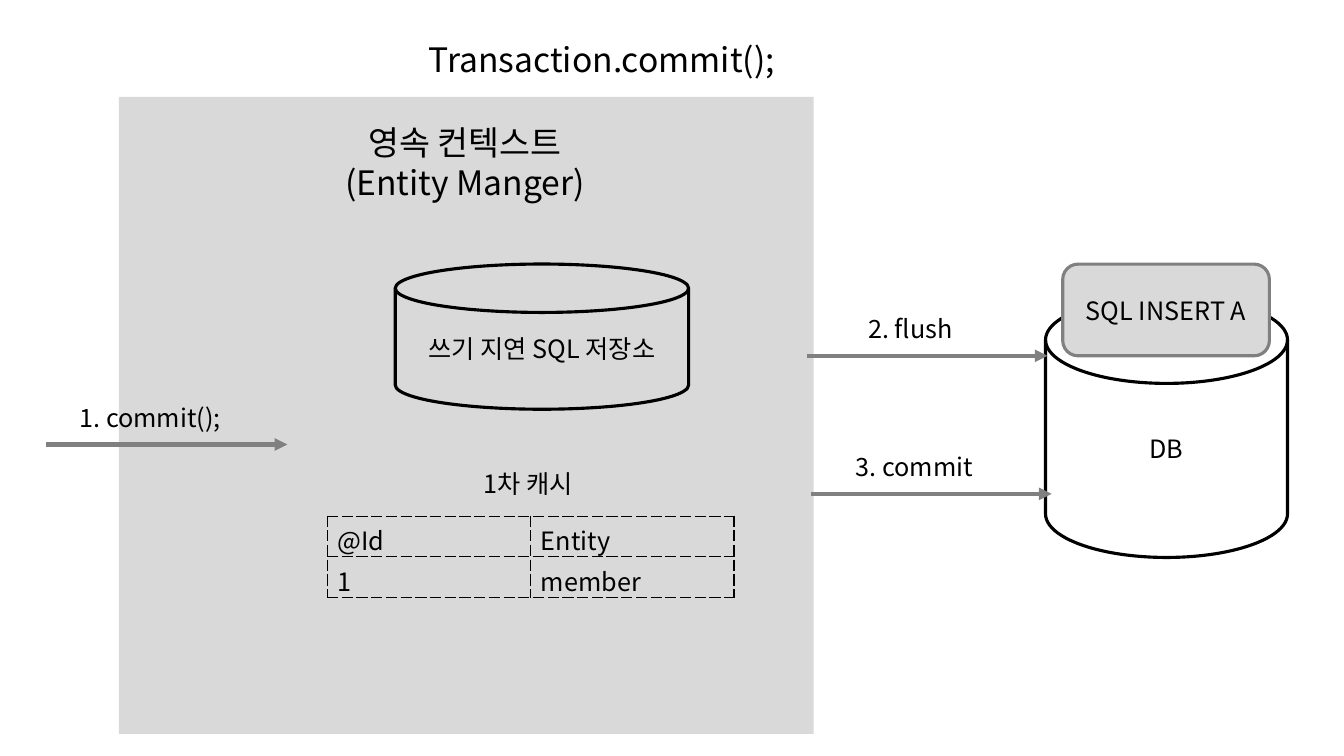
from dataclasses import dataclass

from lxml import etree
from pptx import Presentation
from pptx import util as u
from pptx.dml.color import RGBColor
from pptx.enum import shapes, text
from pptx.oxml.ns import qn


@dataclass(frozen=True)
class Theme:
    font: str = "Noto Sans CJK KR"
    ink: str = "000000"
    panel: str = "D9D9D9"
    arrow: str = "808080"
    heading: int = 24
    body: int = 18
    outline: float = 2.25
    arrow_width: float = 3
    border: float = 1


THEME = Theme()


def box(*lengths):
    return [u.Inches(length) for length in lengths]


def write(frame, words, size=THEME.body, align=text.PP_ALIGN.CENTER,
          anchor=text.MSO_ANCHOR.TOP):
    frame.text = words
    frame.word_wrap = True
    frame.vertical_anchor = anchor
    paragraph = frame.paragraphs[0]
    paragraph.alignment = align
    for run in paragraph.runs:
        run.font.size = u.Pt(size)
        run.font.name = THEME.font
        run.font.color.rgb = RGBColor.from_string(THEME.ink)
        # Korean glyphs take the East Asian typeface
        east_asian = etree.SubElement(run.font._element, qn("a:ea"))
        east_asian.set("typeface", THEME.font)


def add_label(slide, at, words, size=THEME.body):
    label = slide.shapes.add_textbox(*box(*at))
    write(label.text_frame, words, size)


def add_block(slide, preset, at, words="", fill=None, line=None):
    block = slide.shapes.add_shape(preset, *box(*at))
    block.shadow.inherit = False
    if fill:
        block.fill.solid()
        block.fill.fore_color.rgb = RGBColor.from_string(fill)
    else:
        block.fill.background()
    if line:
        block.line.color.rgb = RGBColor.from_string(line)
        block.line.width = u.Pt(THEME.outline)
    else:
        block.line.fill.background()
    if words:
        write(block.text_frame, words, anchor=text.MSO_ANCHOR.MIDDLE)


def add_step(slide, left, top, words):
    """A numbered step: an arrow with its label above."""
    arrow = slide.shapes.add_connector(
        shapes.MSO_CONNECTOR.STRAIGHT, *box(left, top, left + 2.39, top))
    arrow.line.color.rgb = RGBColor.from_string(THEME.arrow)
    arrow.line.width = u.Pt(THEME.arrow_width)
    line = arrow.line._get_or_add_ln()
    etree.SubElement(line, qn("a:tailEnd")).set("type", "triangle")
    etree.SubElement(arrow._element.spPr, qn("a:effectLst"))
    add_label(slide, (left - 0.24, top - 0.47, 2.54, 0.4), words)


def dash_borders(cell):
    properties = cell._tc.get_or_add_tcPr()
    for position, side in enumerate(("lnL", "lnR", "lnT", "lnB")):
        border = etree.Element(qn(f"a:{side}"), w=str(u.Pt(THEME.border)))
        fill = etree.SubElement(border, qn("a:solidFill"))
        etree.SubElement(fill, qn("a:srgbClr")).set("val", THEME.ink)
        etree.SubElement(border, qn("a:prstDash")).set("val", "sysDash")
        properties.insert(position, border)


def add_cache_table(slide, at, rows):
    cache = slide.shapes.add_table(len(rows), len(rows[0]), *box(*at)).table
    cache.first_row = cache.horz_banding = False
    for r, row in enumerate(rows):
        for c, words in enumerate(row):
            cell = cache.cell(r, c)
            write(cell.text_frame, words, align=text.PP_ALIGN.LEFT)
            cell.fill.background()
            dash_borders(cell)


def add_title(slide, at, words):
    title = slide.shapes.title
    title.left, title.top, title.width, title.height = box(*at)
    write(title.text_frame, words, THEME.heading)
    title.text_frame.auto_size = text.MSO_AUTO_SIZE.NONE


def main():
    deck = Presentation()
    deck.slide_width, deck.slide_height = box(13.33, 7.5)
    slide = deck.slides.add_slide(deck.slide_layouts[5])
    preset = shapes.MSO_SHAPE
    disk = preset.FLOWCHART_MAGNETIC_DISK

    add_title(slide, (3.98, 0.34, 3.98, 0.5), "Transaction.commit();")

    # Persistence context
    add_block(slide, preset.RECTANGLE, (1.18, 0.96, 6.89, 6.32),
              fill=THEME.panel)
    add_label(slide, (3.25, 1.16, 2.72, 0.91),
              "영속 컨텍스트(Entity Manger)", THEME.heading)
    add_block(slide, disk, (3.92, 2.62, 2.91, 1.44),
              "쓰기 지연 SQL 저장소", line=THEME.ink)

    # First-level cache
    add_label(slide, (4.13, 4.6, 2.21, 0.4), "1차 캐시")
    add_cache_table(slide, (3.25, 5.12, 4.03, 0.81),
                    [("@Id", "Entity"), ("1", "member")])

    # Database
    add_block(slide, disk, (10.37, 2.94, 2.4, 2.59), "DB", line=THEME.ink)

    # Commit steps
    for left, top, words in ((0.46, 4.41, "1. commit();"),
                             (8, 3.53, "2. flush"),
                             (8.04, 4.9, "3. commit")):
        add_step(slide, left, top, words)

    # Statement sent to the database
    add_block(slide, preset.FLOWCHART_ALTERNATE_PROCESS,
              (10.54, 2.62, 2.05, 0.91), "SQL INSERT A",
              fill=THEME.panel, line=THEME.arrow)

    deck.save("out.pptx")


main()
